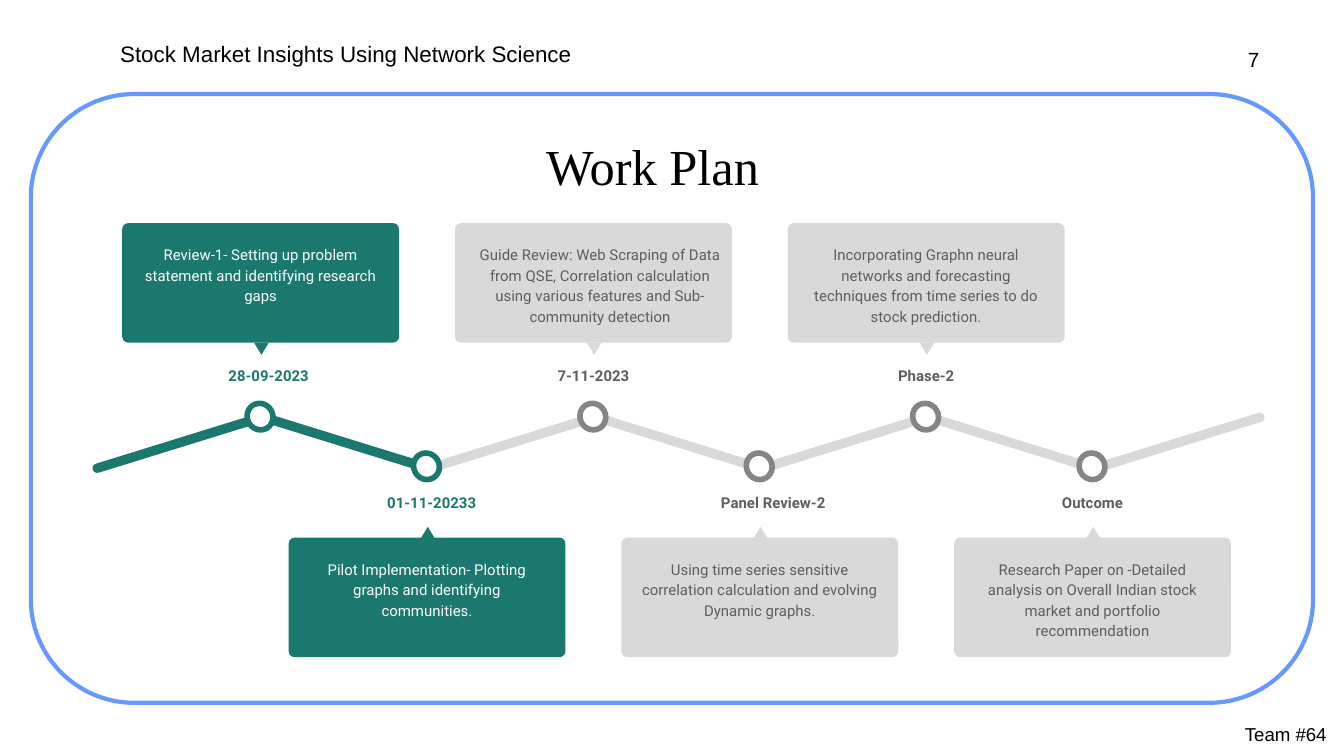
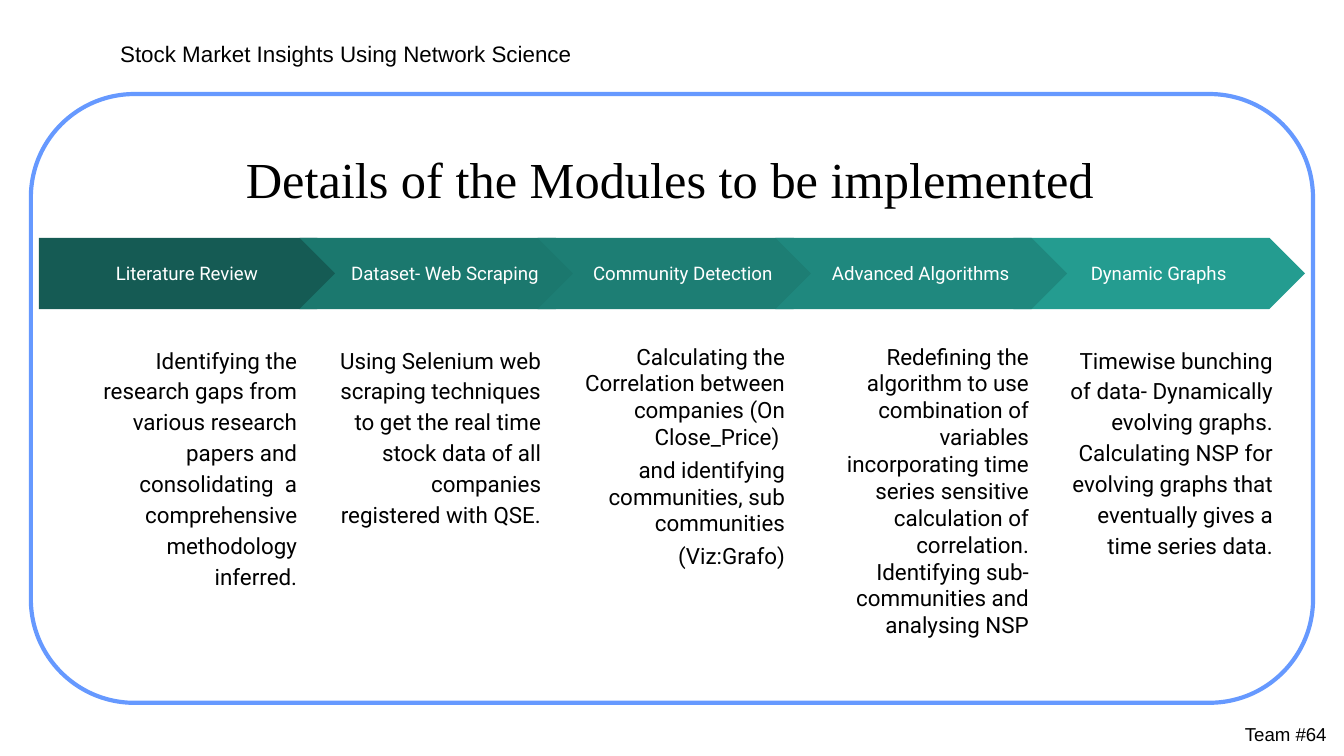
"""Build the work plan timeline and the module overview slides."""
from pptx import Presentation
from pptx import util as u
from pptx.dml.color import RGBColor
from pptx.enum import shapes, text

S = shapes.MSO_SHAPE
AL = text.PP_ALIGN
BLACK, WHITE, BLUE = "000000", "FFFFFF", "6699FF"
GREEN, LIGHT, RING, GREY = "1B786E", "D9D9D9", "858585", "5E5E5E"
DONE = {"box": GREEN, "ring": GREEN, "label": GREEN, "body": WHITE}
TODO = {"box": LIGHT, "ring": RING, "label": GREY, "body": GREY}

HEADER = "Stock Market Insights Using Network Science"
TEAM = "Team #64"
MILESTONES = [
    ("28-09-2023", 0.96, DONE, 1.96, 0.66,
     "Review-1- Setting up problem statement and identifying research gaps"),
    ("01-11-20233", 0.91, DONE, 1.96, 0.66,
     "Pilot Implementation- Plotting graphs and identifying communities."),
    ("7-11-2023", 0.84, TODO, 2.06, 0.82,
     "Guide Review: Web Scraping of Data from QSE, Correlation calculation "
     "using various features and Sub-community detection"),
    ("Panel Review-2", 1.04, TODO, 1.96, 0.66,
     "Using time series sensitive correlation calculation and evolving "
     "Dynamic graphs."),
    ("Phase-2", 0.84, TODO, 1.96, 0.82,
     "Incorporating Graphn neural networks and forecasting techniques from "
     "time series to do stock prediction."),
    ("Outcome", 0.84, TODO, 1.96, 0.82,
     "Research Paper on -Detailed analysis on Overall Indian stock market "
     "and portfolio recommendation"),
]
WIDE = {"line_spacing": 1.15}
TIGHT = {"space_before": u.Pt(3)}
MODULES = [
    (0, "Literature Review", "155B54", 1.96, WIDE,
     ["Identifying the research gaps from various research papers and "
      "consolidating  a comprehensive methodology inferred."]),
    (1, "Dataset- Web Scraping", GREEN, 1.74, WIDE,
     ["Using Selenium web scraping techniques to get the real time stock "
      "data of all companies registered with QSE."]),
    (2, "Community Detection", "1D7E74", 1.84, TIGHT,
     ["Calculating the Correlation between companies (On Close_Price) ",
      "and identifying communities, sub communities", "(Viz:Grafo)"]),
    (4, "Dynamic Graphs", "249C90", 1.74, WIDE,
     ["Timewise bunching of data- Dynamically evolving graphs. Calculating "
      "NSP for evolving graphs that eventually gives a time series data."]),
    (3, "Advanced Algorithms", "1F887E", 2.34, TIGHT,
     ["Redefining the algorithm to use combination of variables incorporating "
      "time series sensitive calculation of correlation. Identifying "
      "sub-communities and analysing NSP"]),
]


def rgb(color):
    return RGBColor.from_string(color)


def paint(sp, fill, line=None, width=1):
    sp.shadow.inherit = False
    sp.fill.solid()
    sp.fill.fore_color.rgb = rgb(fill)
    if line:
        sp.line.color.rgb = rgb(line)
        sp.line.width = u.Pt(width)
    else:
        sp.line.fill.background()


def add_shape(s, kind, x, y, w, h, fill, line=None, width=1, adj=None, rot=0):
    sp = s.shapes.add_shape(kind, *map(u.Inches, (x, y, w, h)))
    if adj is not None:
        sp.adjustments[0] = adj
    sp.rotation = rot
    paint(sp, fill, line, width)


def add_text(s, x, y, w, h, lines, size, name, color=BLACK, align=AL.CENTER,
             inset=0.1, bold=None, para=None, **frame):
    tf = s.shapes.add_textbox(*map(u.Inches, (x, y, w, h))).text_frame
    margins = {f"margin_{side}": u.Inches(inset)
               for side in ("left", "top", "right", "bottom")}
    fmt = {"word_wrap": True,
           "auto_size": text.MSO_AUTO_SIZE.SHAPE_TO_FIT_TEXT}
    for key, value in {**margins, **fmt, **frame}.items():
        setattr(tf, key, value)
    for i, line in enumerate(lines):
        p = tf.add_paragraph() if i else tf.paragraphs[0]
        for key, value in {"alignment": align, **(para or {})}.items():
            setattr(p, key, value)
        r = p.add_run()
        r.text = line
        font = {"size": u.Pt(size), "name": name, "bold": bold}
        for key, value in font.items():
            setattr(r.font, key, value)
        r.font.color.rgb = rgb(color)


def add_slide(prs, title, x, y):
    s = prs.slides.add_slide(prs.slide_layouts[6])
    add_shape(s, S.ROUNDED_RECTANGLE, 0.23, 0.7, 9.54, 4.53, WHITE, BLUE, 2.25,
              adj=0.17)
    add_text(s, 0.64, 0.26, 3.87, 0.27, [HEADER], 12, "Arial", inset=0.04)
    add_text(s, 8.63, 5.34, 1.28, 0.24, [TEAM], 10, "Arial", inset=0.04,
             align=AL.RIGHT)
    add_text(s, x, y, 8.85, 0.66, [title], 27, "Times New Roman", inset=0.04,
             vertical_anchor=text.MSO_ANCHOR.MIDDLE,
             auto_size=text.MSO_AUTO_SIZE.NONE)
    return s


def work_plan(prs):
    s = add_slide(prs, "Work Plan", 0.43, 0.9)
    add_text(s, 9.24, 0.31, 0.17, 0.26, ["7"], 11, "Arial", inset=0.04,
             align=AL.RIGHT, word_wrap=False)
    first, last = 1.94, 8.13
    pitch = (last - first) / (len(MILESTONES) - 1)
    for i in reversed(range(len(MILESTONES) + 1)):
        add_shape(s, S.ROUNDED_RECTANGLE, 0.66 + i * pitch, 3.26, 1.35, 0.07,
                  GREEN if i < 2 else LIGHT, adj=0.5,
                  rot=17.2 if i % 2 else 342.8)
    para = {"line_spacing": 1.15, "space_before": u.Pt(16)}
    for i, (label, label_w, look, w, h, body) in enumerate(MILESTONES):
        x = first + i * pitch
        below = i % 2
        box_y, tip_y, label_y, node_y = (
            (4, 3.92, 3.58, 3.37) if below else (1.66, 2.55, 2.63, 3))
        add_shape(s, S.ROUNDED_RECTANGLE, x - 1.03, box_y, 2.06, 0.89,
                  look["box"], adj=0.05)
        add_shape(s, S.ISOSCELES_TRIANGLE, x - 0.05, tip_y, 0.11, 0.09,
                  look["box"], rot=0 if below else 180)
        add_shape(s, S.OVAL, x - 0.1, node_y, 0.19, 0.2, WHITE, look["ring"],
                  3, rot=330.2)
        add_text(s, x - 0.42, label_y, label_w, 0.34, [label], 8, "Roboto",
                 look["label"], bold=True, para=para)
        add_text(s, x - 0.98, box_y + 0.05, w, h, [body], 8, "Roboto",
                 look["body"], para=para)


def modules(prs):
    s = add_slide(prs, "Details of the Modules to be implemented", 0.56, 1)
    top, h, left = 1.77, 0.53, 0.29
    first, last = 0.6, 7.86
    pitch = (last - first) / (len(MODULES) - 1)
    for col, name, fill, body_h, para, lines in MODULES:
        x = 0.46 + 1.77 * col
        label_x, label_w = x + 0.26, 1.64
        if col:
            add_shape(s, S.CHEVRON, x, top, 2.17, h, fill, adj=0.5)
        else:
            label_x, label_w = left, 2.2
            outline = s.shapes.build_freeform(u.Inches(left), u.Inches(top))
            corners = [(2.36, top), (2.63, top + h / 2), (2.36, top + h),
                       (left, top + h)]
            outline.add_line_segments(
                [(u.Inches(cx), u.Inches(cy)) for cx, cy in corners])
            paint(outline.convert_to_shape(), fill)
        add_text(s, label_x, 1.85, label_w, 0.37, [name], 10, "Roboto", WHITE,
                 vertical_anchor=text.MSO_ANCHOR.MIDDLE)
        add_text(s, first + pitch * col, 2.45, 1.71, body_h, lines, 12,
                 "Roboto", align=AL.RIGHT, para=para)


def main():
    prs = Presentation()
    prs.slide_width = u.Inches(10)
    prs.slide_height = prs.slide_width * 9 // 16
    work_plan(prs)
    modules(prs)
    prs.save("out.pptx")


if __name__ == "__main__":
    main()
